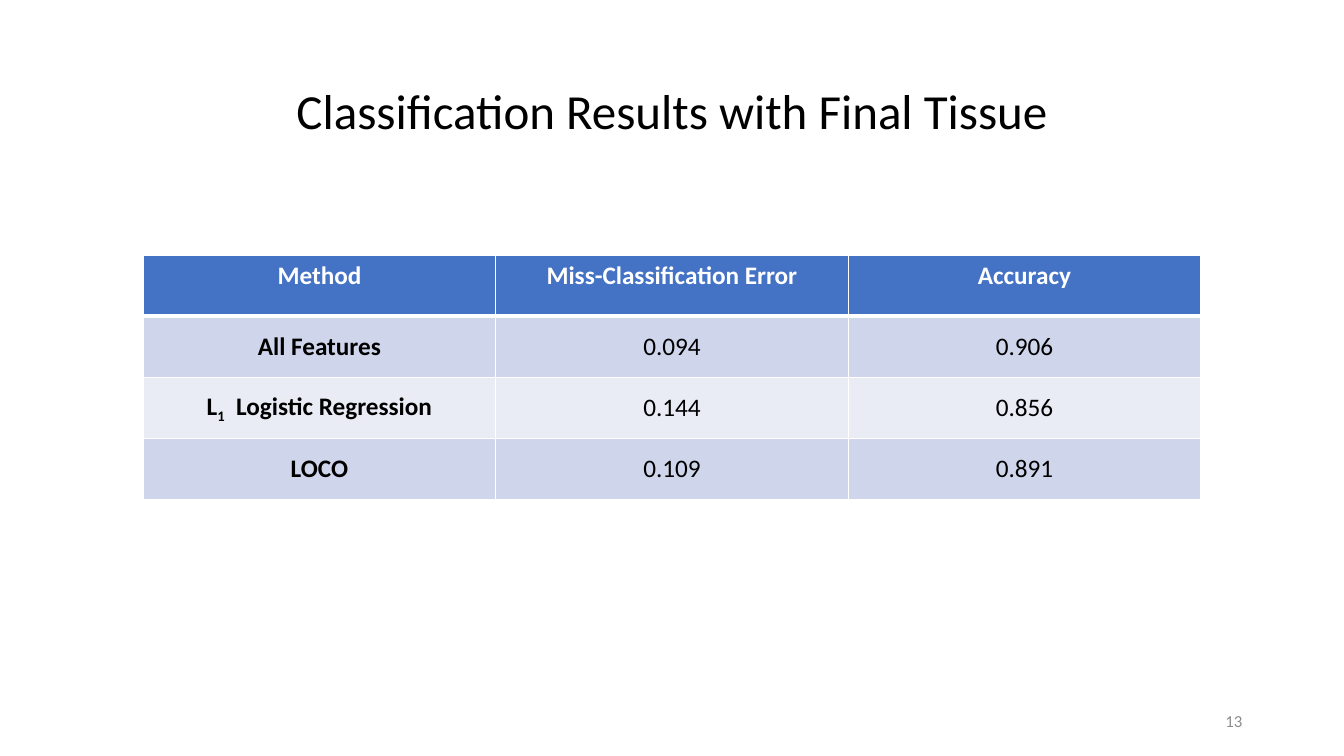
from pptx import Presentation
from pptx.dml.color import RGBColor
from pptx.enum import text as t
from pptx.oxml import parse_xml
from pptx.oxml.ns import nsdecls
from pptx.util import Inches, Pt

HUES = {
    "ink": "000000",
    "white": "FFFFFF",
    "head": "4472C4",
    "odd": "CFD5EA",
    "even": "E9EBF5",
    "page": "8C8C8C",
}
ROWS = [
    ["Method", "Miss-Classification Error", "Accuracy"],
    ["All Features", "0.094", "0.906"],
    [("L", "1", "  Logistic Regression"), "0.144", "0.856"],
    ["LOCO", "0.109", "0.891"],
]


def hue(name):
    return RGBColor.from_string(HUES[name])


def write(frame, words, size, color, align, bold=False):
    """Fill the first paragraph; a tuple holds base, subscript and rest."""
    para = frame.paragraphs[0]
    para.alignment = align
    font = para.font
    font.name, font.size, font.bold = "Calibri", Pt(size), bold
    font.color.rgb = hue(color)
    if isinstance(words, str):
        words = (words,)
    for i, part in enumerate(words):
        run = para.add_run()
        run.text = part
        if i == 1:
            run._r.get_or_add_rPr().set("baseline", "-25000")
    return para


def add_label(slide, box, words, size, color, align):
    frame = slide.shapes.add_textbox(*map(Inches, box)).text_frame
    frame.word_wrap = True
    frame.vertical_anchor = t.MSO_ANCHOR.MIDDLE
    return write(frame, words, size, color, align)


def add_edges(cell, top, bottom):
    """Draw white cell borders, with top and bottom widths in points."""
    props = cell._tc.get_or_add_tcPr()
    for side, width in zip("LRTB", (1, 1, top, bottom)):
        props.append(parse_xml(
            f'<a:ln{side} {nsdecls("a")} w="{Pt(width)}"><a:solidFill>'
            f'<a:srgbClr val="{HUES["white"]}"/></a:solidFill></a:ln{side}>'))


def add_results(slide, box, rows):
    grid = slide.shapes.add_table(
        len(rows), len(rows[0]), *map(Inches, box)).table
    for r, row in enumerate(rows):
        head = r == 0
        fill = "head" if head else "odd" if r % 2 else "even"
        for c, words in enumerate(row):
            cell = grid.cell(r, c)
            add_edges(cell, 3 if r == 1 else 1, 3 if head else 1)
            cell.fill.solid()
            cell.fill.fore_color.rgb = hue(fill)
            if not head:
                cell.vertical_anchor = t.MSO_ANCHOR.MIDDLE
            write(cell.text_frame, words, 18, "white" if head else "ink",
                  t.PP_ALIGN.CENTER, head or c == 0)


def main():
    deck = Presentation()
    deck.slide_width, deck.slide_height = Inches(13.33), Inches(7.5)
    slide = deck.slides.add_slide(deck.slide_layouts[6])
    title = add_label(slide, (0.92, 0.4, 11.5, 1.45),
                      "Classification Results with Final Tissue",
                      35, "ink", t.PP_ALIGN.CENTER)
    title.line_spacing = 0.9
    add_results(slide, (1.42, 2.53, 10.49, 2.43), ROWS)
    add_label(slide, (9.42, 6.95, 3, 0.4), "13", 12, "page",
              t.PP_ALIGN.RIGHT)
    deck.save("out.pptx")


if __name__ == "__main__":
    main()
